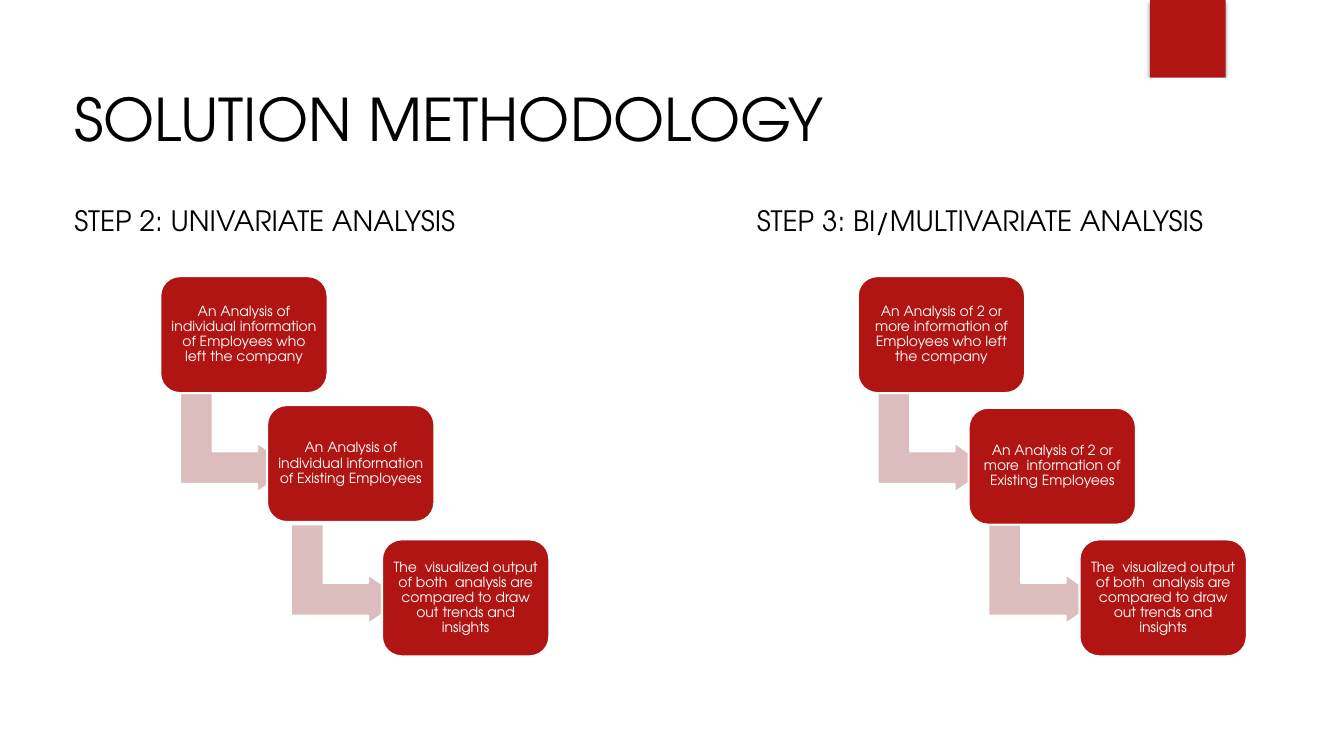
from dataclasses import dataclass

from lxml import etree
from pptx import Presentation
from pptx.dml.color import RGBColor
from pptx.enum.shapes import MSO_SHAPE
from pptx.enum.text import MSO_ANCHOR, PP_ALIGN
from pptx.oxml.ns import qn
from pptx.util import Pt

RECT, ROUNDED, BENT = MSO_SHAPE.RECTANGLE, MSO_SHAPE.ROUNDED_RECTANGLE, MSO_SHAPE.BENT_UP_ARROW
TOP, MIDDLE = MSO_ANCHOR.TOP, MSO_ANCHOR.MIDDLE
LEFT, CENTER = PP_ALIGN.LEFT, PP_ALIGN.CENTER


@dataclass(frozen=True)
class Theme:
    font: str = "TeX Gyre Adventor"
    red: RGBColor = RGBColor(0xB0, 0x15, 0x13)
    pink: RGBColor = RGBColor(0xDC, 0xBD, 0xBD)
    white: RGBColor = RGBColor(0xFF, 0xFF, 0xFF)
    black: RGBColor = RGBColor(0, 0, 0)
    title: int = 42
    heading: int = 20
    box: int = 10


THEME = Theme()

# Staircase geometry, in points
BOX_W, BOX_H = 119.5, 83.5
STEP_X, STEP_Y = 79.2, 94
ARROW_W, ARROW_H = 71.3, 80.6
ARROW_DX, ARROW_DY = 18.7, 78.6
STAIRS_TOP = 197.3

OUTCOME = ("The  visualized output of both  analysis are compared "
           "to draw out trends and insights")

# heading, heading left, stairs left, nudge of the middle box, box texts
COLUMNS = [
    ("STEP 2: UNIVARIATE ANALYSIS", 46, 114.5, (-2.9, -1.9), [
        "An Analysis of individual information of Employees who left the company",
        "An Analysis of individual information of Existing Employees",
        OUTCOME]),
    ("STEP 3: BI/MULTIVARIATE ANALYSIS", 533.5, 612.7, (0, 0), [
        "An Analysis of 2 or more information of Employees who left the company",
        "An Analysis of 2 or more  information of Existing Employees",
        OUTCOME]),
]


def add_text(sp, text, size, color, align, anchor):
    tf = sp.text_frame
    tf.word_wrap = True
    tf.vertical_anchor = anchor
    p = tf.paragraphs[0]
    p.alignment = align
    r = p.add_run()
    r.text = text
    r.font.name = THEME.font
    r.font.size = Pt(size)
    r.font.color.rgb = color
    return tf


def add_label(s, text, left, top, width, height, size):
    sp = s.shapes.add_textbox(Pt(left), Pt(top), Pt(width), Pt(height))
    add_text(sp, text, size, THEME.black, LEFT, TOP)
    return sp


def add_solid(s, kind, left, top, width, height, fill, outlined=True):
    sp = s.shapes.add_shape(kind, Pt(left), Pt(top), Pt(width), Pt(height))
    sp.shadow.inherit = False
    sp.fill.solid()
    sp.fill.fore_color.rgb = fill
    if outlined:
        sp.line.color.rgb = THEME.white
        sp.line.width = Pt(1.5)
    else:
        sp.line.fill.background()
    return sp


def add_tab(s):
    sp = add_solid(s, RECT, 821.5, 0, 54, 90, THEME.red, outlined=False)
    effects = sp._element.spPr.find(qn("a:effectLst"))
    shadow = etree.SubElement(effects, qn("a:outerShdw"), blurRad=str(Pt(3)),
                              dist=str(Pt(2)), dir="5400000", rotWithShape="0")
    color = etree.SubElement(shadow, qn("a:srgbClr"), val=str(THEME.black))
    etree.SubElement(color, qn("a:alpha"), val="45000")


def add_arrow(s, left, top):
    sp = add_solid(s, BENT, left, top, ARROW_W, ARROW_H, THEME.pink)
    sp.rotation = 90
    for i, value in enumerate((0.328, 0.25, 0.358)):
        sp.adjustments[i] = value


def add_box(s, text, left, top):
    sp = add_solid(s, ROUNDED, left, top, BOX_W, BOX_H, THEME.red)
    sp.adjustments[0] = 0.167
    tf = add_text(sp, text, THEME.box, THEME.white, CENTER, MIDDLE)
    tf.margin_left = tf.margin_right = tf.margin_top = tf.margin_bottom = Pt(3)
    tf.paragraphs[0].line_spacing = 0.9


def add_stairs(s, left, nudge, texts):
    for i, text in enumerate(texts):
        x, y = left + i * STEP_X, STAIRS_TOP + i * STEP_Y
        if i < len(texts) - 1:
            add_arrow(s, x + ARROW_DX, y + ARROW_DY)
        dx, dy = nudge if i == 1 else (0, 0)
        add_box(s, text, x + dx, y + dy)


def main():
    prs = Presentation()
    prs.slide_width, prs.slide_height = Pt(960), Pt(540)
    s = prs.slides.add_slide(prs.slide_layouts[6])

    # Red tab, partly covered by the white title band
    add_tab(s)
    title = add_label(s, "SOLUTION METHODOLOGY", 46, 55.5, 868, 66, THEME.title)
    title.fill.solid()
    title.fill.fore_color.rgb = THEME.white

    # One heading and staircase per step
    for heading, heading_left, stairs_left, nudge, texts in COLUMNS:
        add_label(s, heading, heading_left, 142, 380, 34, THEME.heading)
        add_stairs(s, stairs_left, nudge, texts)

    prs.save("out.pptx")


if __name__ == "__main__":
    main()
